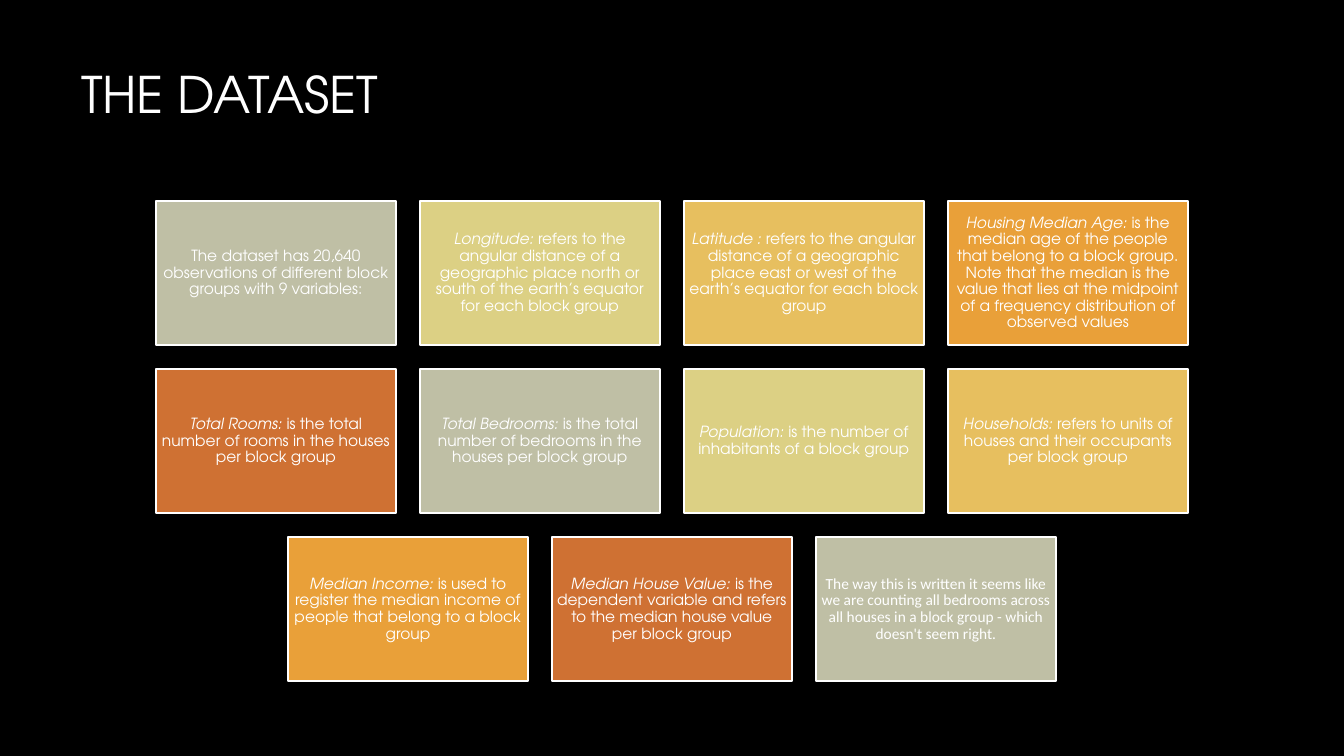
from dataclasses import dataclass
from itertools import cycle

from pptx import Presentation
from pptx.dml.color import RGBColor
from pptx.enum.shapes import MSO_SHAPE
from pptx.enum.text import MSO_ANCHOR, MSO_AUTO_SIZE, PP_ALIGN
from pptx.util import Emu, Pt

RECTANGLE = MSO_SHAPE.RECTANGLE
MIDDLE = MSO_ANCHOR.MIDDLE
NO_AUTOFIT = MSO_AUTO_SIZE.NONE
LEFT, CENTER = PP_ALIGN.LEFT, PP_ALIGN.CENTER

HEADING = "THE DATASET"
MAIN_FONT, REMARK_FONT = "TeX Gyre Adventor", "Calibri"
VARIABLES = [
    ("", "The dataset has 20,640 observations of different block groups with 9 variables:"),
    ("Longitude:", " refers to the angular distance of a geographic place north or south of the earth’s equator for each block group"),
    ("Latitude :", " refers to the angular distance of a geographic place east or west of the earth’s equator for each block group"),
    ("Housing Median Age:", " is the median age of the people that belong to a block group. Note that the median is the value that lies at the midpoint of a frequency distribution of observed values"),
    ("Total Rooms:", " is the total number of rooms in the houses per block group"),
    ("Total Bedrooms:", " is the total number of bedrooms in the houses per block group"),
    ("Population:", " is the number of inhabitants of a block group"),
    ("Households:", " refers to units of houses and their occupants per block group"),
    ("Median Income:", " is used to register the median income of people that belong to a block group"),
    ("Median House Value:", " is the dependent variable and refers to the median house value per block group"),
]
REMARK = "The way this is written it seems like we are counting all bedrooms across all houses in a block group - which doesn't seem right."
CARDS = [(term, meaning, MAIN_FONT) for term, meaning in VARIABLES]
CARDS.append(("", REMARK, REMARK_FONT))


@dataclass(frozen=True)
class Theme:
    background: RGBColor = RGBColor.from_string("000000")
    ink: RGBColor = RGBColor.from_string("FFFFFF")
    fills: tuple = ("BFBFA5", "DCD084", "E7BF5F", "E9A039", "CF7133")
    heading_size: Pt = Pt(36)
    card_size: Pt = Pt(11)
    outline: Pt = Pt(1.5)


THEME = Theme()
SLIDE_W, SLIDE_H = 1344, 756
CARD_W, CARD_H, GAP = 240, 144, 24
COLUMNS, GRID_TOP, INSET = 4, 201, 5


def px(length):
    return Emu(round(length * 914400 / 100.8))


def style_run(run, font_name, size, italic=False):
    run.font.name = font_name
    run.font.size = size
    run.font.italic = italic
    run.font.color.rgb = THEME.ink


def add_heading(slide):
    heading = slide.shapes.title
    heading.left, heading.top, heading.width, heading.height = map(px, (71, 35, 1202, 125))
    frame = heading.text_frame
    frame.text = HEADING
    frame.auto_size = NO_AUTOFIT
    frame.vertical_anchor = MIDDLE
    heading_line = frame.paragraphs[0]
    heading_line.alignment = LEFT
    heading_line.line_spacing = 0.9
    style_run(heading_line.runs[0], MAIN_FONT, THEME.heading_size)


def add_card(slide, left, top, fill, term, meaning, font_name):
    card = slide.shapes.add_shape(RECTANGLE, px(left), px(top), px(CARD_W), px(CARD_H))
    card.shadow.inherit = False
    card.fill.solid()
    card.fill.fore_color.rgb = RGBColor.from_string(fill)
    card.line.color.rgb = THEME.ink
    card.line.width = THEME.outline
    frame = card.text_frame
    frame.word_wrap = True
    frame.vertical_anchor = MIDDLE
    frame.margin_left = frame.margin_right = frame.margin_top = frame.margin_bottom = px(INSET)
    definition = frame.paragraphs[0]
    definition.alignment = CENTER
    definition.line_spacing = 0.9
    for words, italic in ((term, True), (meaning, False)):
        if words:
            run = definition.add_run()
            run.text = words
            style_run(run, font_name, THEME.card_size, italic)


def add_cards(slide):
    fills = cycle(THEME.fills)
    for start in range(0, len(CARDS), COLUMNS):
        row = CARDS[start:start + COLUMNS]
        row_width = len(row) * (CARD_W + GAP) - GAP
        row_left = (SLIDE_W - row_width) // 2
        top = GRID_TOP + start // COLUMNS * (CARD_H + GAP)
        for column, content in enumerate(row):
            left = row_left + column * (CARD_W + GAP)
            add_card(slide, left, top, next(fills), *content)


def main():
    deck = Presentation()
    deck.slide_width, deck.slide_height = px(SLIDE_W), px(SLIDE_H)
    slide = deck.slides.add_slide(deck.slide_layouts[5])
    slide.background.fill.solid()
    slide.background.fill.fore_color.rgb = THEME.background
    add_heading(slide)
    add_cards(slide)
    deck.save("out.pptx")


if __name__ == "__main__":
    main()
